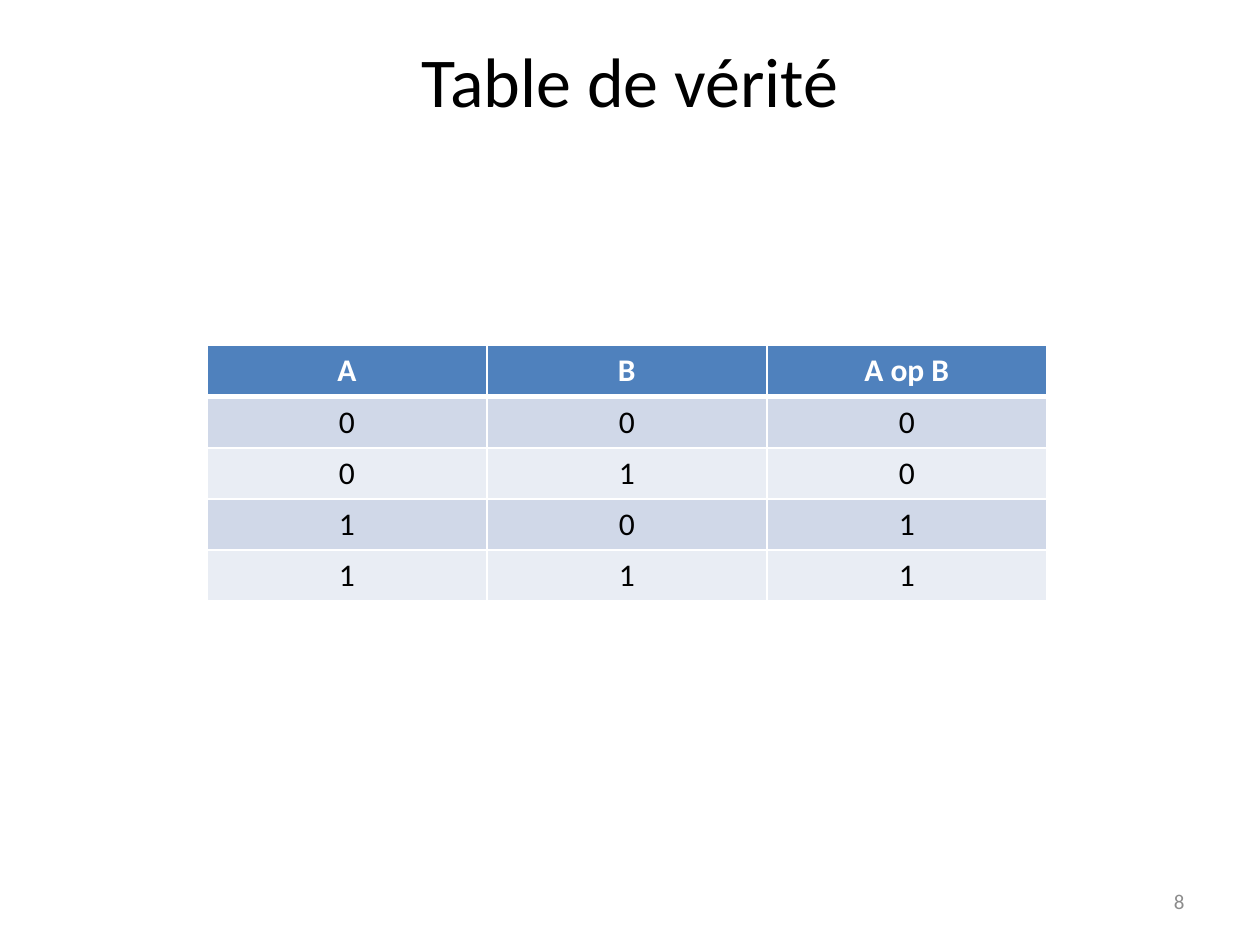
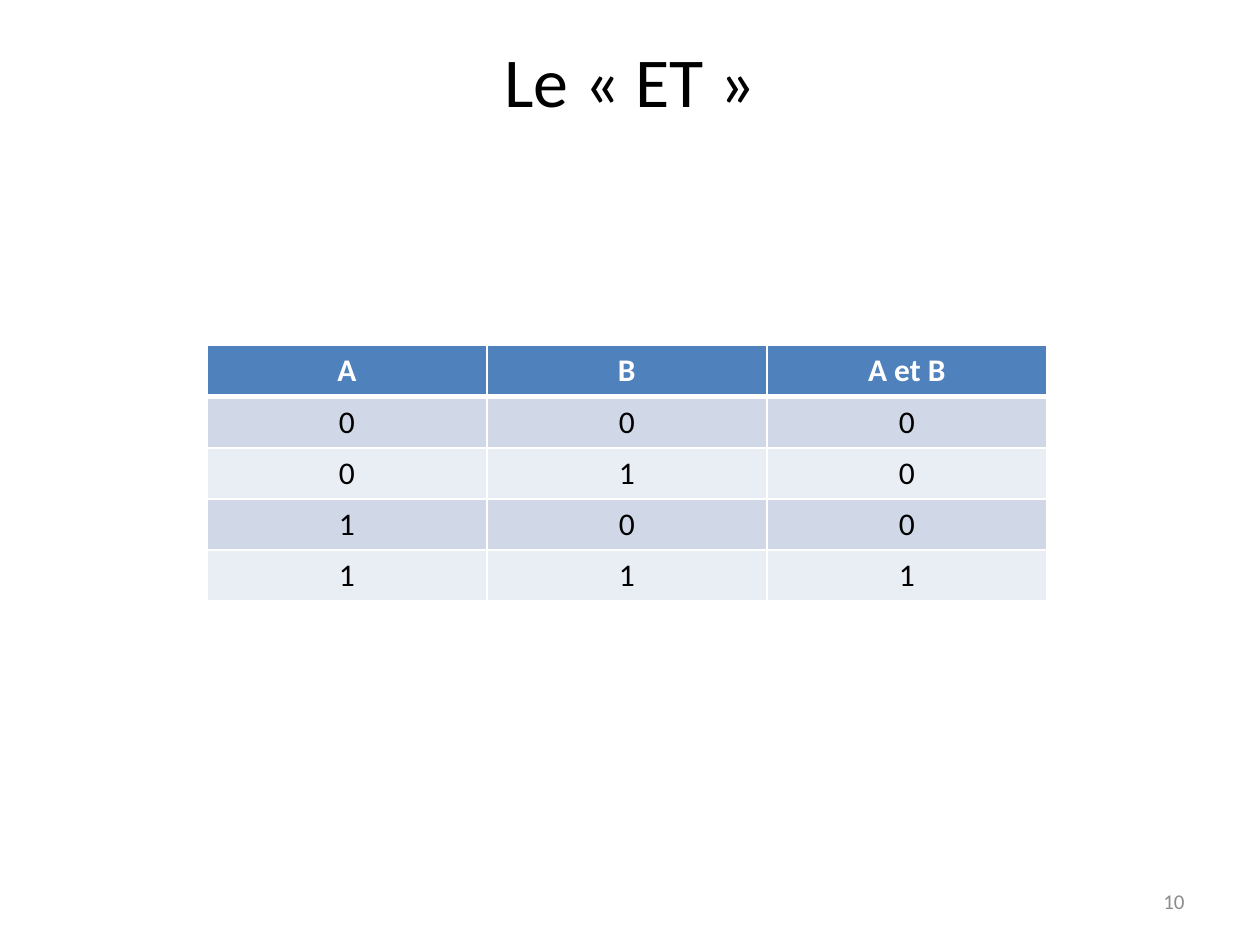
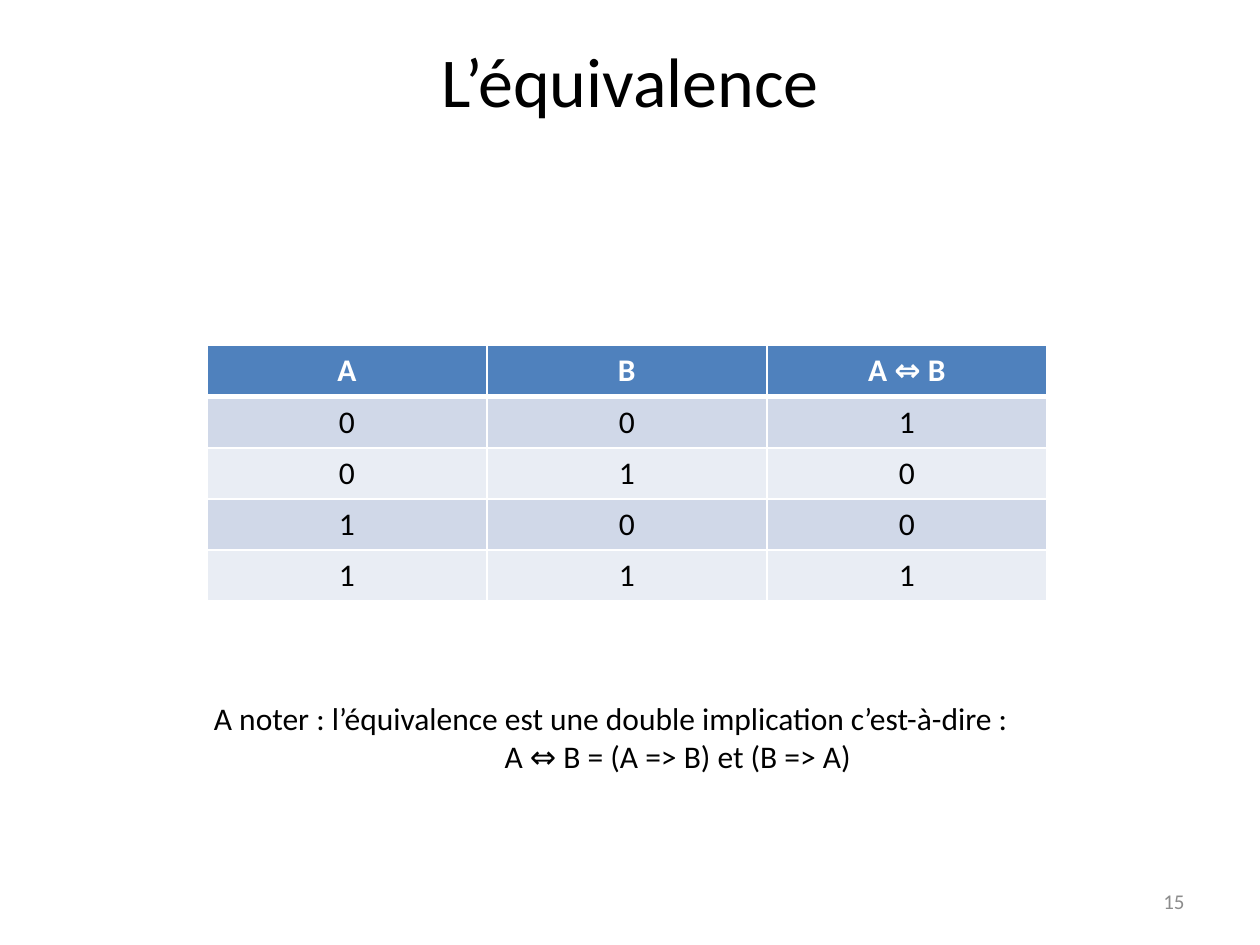
"""Build three slides on truth tables of logical operators."""
from lxml import etree
from pptx import Presentation
from pptx.dml.color import RGBColor
from pptx.enum.text import MSO_ANCHOR, PP_ALIGN
from pptx.oxml.ns import qn
from pptx.util import Pt

LEFT, CENTER, RIGHT = PP_ALIGN.LEFT, PP_ALIGN.CENTER, PP_ALIGN.RIGHT
TOP, MIDDLE = MSO_ANCHOR.TOP, MSO_ANCHOR.MIDDLE

FONT = "Calibri"
BLACK, WHITE, GREY = "000000", "FFFFFF", "8C8C8C"
HEADER_FILL = "4F81BD"
BAND_FILLS = ("D0D8E8", "E9EDF4")

TITLE_STYLE = {"size": 40, "color": BLACK}
NUMBER_STYLE = {"size": 12, "color": GREY}
BODY_STYLE = {"size": 18, "color": BLACK}
HEADER_STYLE = {"size": 18, "color": WHITE, "bold": True}

TITLE_BOX = (36, 18, 648, 90)
NUMBER_BOX = (516, 500.4, 168, 28.8)
NOTE_BOX = (115.2, 396, 544.32, 51.12)
TABLE_LEFT, TABLE_TOP = 118.2, 197.5
COLUMN_WIDTH, ROW_HEIGHT = 160, 29.2
THIN_BORDER, HEADER_BORDER = 1, 3

INPUTS = [(0, 0), (0, 1), (1, 0), (1, 1)]
SLIDES = [
    {"title": "Table de vérité", "number": 8,
     "operation": "A op B", "results": (0, 0, 1, 1), "note": []},
    {"title": "Le «\u00a0ET\u00a0»", "number": 10,
     "operation": "A et B", "results": (0, 0, 0, 1), "note": []},
    {"title": "L’équivalence", "number": 15,
     "operation": "A ⇔ B", "results": (1, 0, 0, 1),
     "note": [("A noter : l’équivalence est une double implication c’est-à-dire : ", LEFT),
              ("A ⇔ B = (A => B) et (B => A)", CENTER)]},
]


def rgb(color):
    """Turn a hex string into a colour."""
    return RGBColor.from_string(color)


def write_paragraph(paragraph, text, alignment, style):
    """Write one run of styled text."""
    paragraph.alignment = alignment
    run = paragraph.add_run()
    run.text = text
    values = {"name": FONT, "size": Pt(style["size"]), "bold": style.get("bold", False)}
    for name, value in values.items():
        setattr(run.font, name, value)
    run.font.color.rgb = rgb(style["color"])


def add_text(slide, box, lines, style, anchor=TOP):
    """Add a wrapped text box with one paragraph per line."""
    frame = slide.shapes.add_textbox(*map(Pt, box)).text_frame
    frame.word_wrap = True
    frame.vertical_anchor = anchor
    for index, (text, alignment) in enumerate(lines):
        paragraph = frame.add_paragraph() if index else frame.paragraphs[0]
        write_paragraph(paragraph, text, alignment, style)


def set_borders(cell, widths):
    """Draw white cell borders of the given widths."""
    properties = cell._tc.get_or_add_tcPr()
    for side, width in widths.items():
        line = etree.SubElement(properties, qn(f"a:ln{side}"), w=str(Pt(width)))
        fill = etree.SubElement(line, qn("a:solidFill"))
        etree.SubElement(fill, qn("a:srgbClr"), val=WHITE)


def add_truth_table(slide, operation, results):
    """Add a header and one banded row per pair of inputs."""
    rows = [("A", "B", operation)]
    rows += [(*pair, result) for pair, result in zip(INPUTS, results)]
    column_count = len(rows[0])
    table = slide.shapes.add_table(
        len(rows), column_count, Pt(TABLE_LEFT), Pt(TABLE_TOP),
        Pt(COLUMN_WIDTH * column_count), Pt(ROW_HEIGHT * len(rows))).table
    for row_index, values in enumerate(rows):
        is_header = row_index == 0
        style = HEADER_STYLE if is_header else BODY_STYLE
        fill = HEADER_FILL if is_header else BAND_FILLS[(row_index - 1) % 2]
        widths = {"L": THIN_BORDER, "R": THIN_BORDER,
                  "T": HEADER_BORDER if row_index == 1 else THIN_BORDER,
                  "B": HEADER_BORDER if is_header else THIN_BORDER}
        for column_index, value in enumerate(values):
            cell = table.cell(row_index, column_index)
            set_borders(cell, widths)
            cell.fill.solid()
            cell.fill.fore_color.rgb = rgb(fill)
            write_paragraph(cell.text_frame.paragraphs[0], str(value), CENTER, style)


def main():
    """Build and save the presentation."""
    presentation = Presentation()
    presentation.slide_width, presentation.slide_height = Pt(720), Pt(540)
    blank_layout = presentation.slide_layouts[6]
    for content in SLIDES:
        slide = presentation.slides.add_slide(blank_layout)
        add_text(slide, TITLE_BOX, [(content["title"], CENTER)], TITLE_STYLE)
        add_text(slide, NUMBER_BOX, [(str(content["number"]), RIGHT)], NUMBER_STYLE, MIDDLE)
        add_truth_table(slide, content["operation"], content["results"])
        if content["note"]:
            add_text(slide, NOTE_BOX, content["note"], BODY_STYLE)
    presentation.save("out.pptx")


main()
